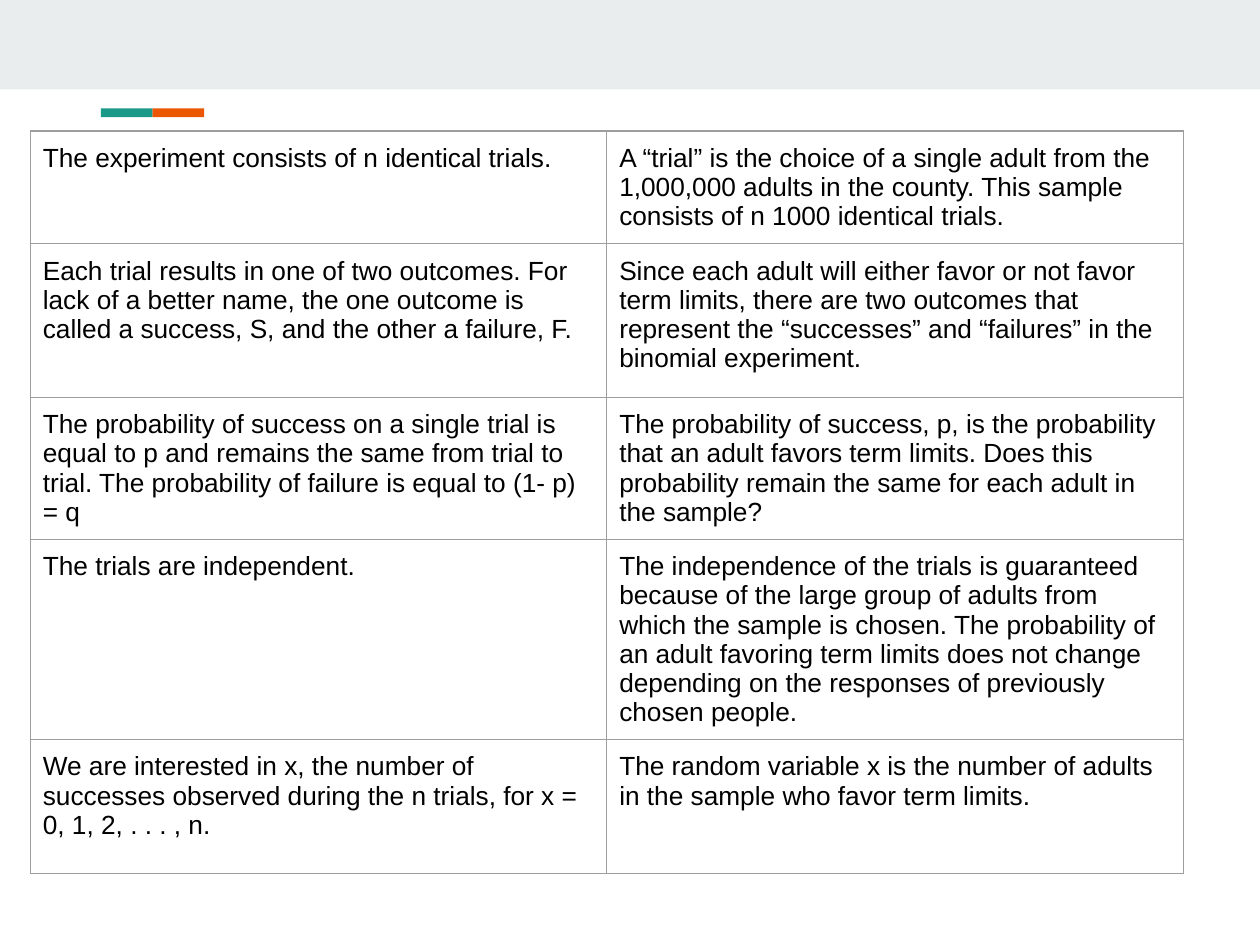
from typing import NamedTuple

from lxml import etree
from pptx import Presentation
from pptx.dml.color import RGBColor
from pptx.enum import shapes
from pptx.oxml import ns
from pptx.util import Inches, Pt

BAND_GRAY = RGBColor(0xE9, 0xED, 0xEE)
ORANGE = RGBColor(0xEB, 0x56, 0x00)
TEAL = RGBColor(0x1A, 0x99, 0x88)
BLACK = RGBColor(0, 0, 0)
BORDER_GRAY = RGBColor(0x9E, 0x9E, 0x9E)

CELL_MARGIN = Inches(0.1)
CELL_FORMAT = {
    "margin_left": CELL_MARGIN,
    "margin_right": CELL_MARGIN,
    "margin_top": CELL_MARGIN,
    "margin_bottom": CELL_MARGIN,
}
FONT_FORMAT = {"name": "Arial", "size": Pt(15)}

ACCENT_FRAME = {
    "left": Inches(0.8),
    "top": Inches(0.86),
    "width": Inches(0.82),
    "height": Inches(0.07),
}
ACCENT_LENGTH = 0.61
ACCENT_THICKNESS = 0.03


class Bar(NamedTuple):
    left: float
    top: float
    width: float
    height: float
    color: RGBColor
    rotation: float = 0


class Row(NamedTuple):
    height: float
    characteristic: str
    example: str


HEADER_BAND = Bar(0, 0, 10, 0.71, BAND_GRAY)

ROWS = [
    Row(0.8, "The experiment consists of n identical trials.",
        "A “trial” is the choice of a single adult from the 1,000,000 adults in the county. "
        "This sample consists of n 1000 identical trials."),
    Row(1.22, "Each trial results in one of two outcomes. For lack of a better name, "
        "the one outcome is called a success, S, and the other a failure, F.",
        "Since each adult will either favor or not favor term limits, there are two outcomes "
        "that represent the “successes” and “failures” in the binomial experiment."),
    Row(0.91, "The probability of success on a single trial is equal to p and remains the same "
        "from trial to trial. The probability of failure is equal to (1- p) = q",
        "The probability of success, p, is the probability that an adult favors term limits. "
        "Does this probability remain the same for each adult in the sample?"),
    Row(1.22, "The trials are independent.",
        "The independence of the trials is guaranteed because of the large group of adults "
        "from which the sample is chosen. The probability of an adult favoring term limits "
        "does not change depending on the responses of previously chosen people."),
    Row(1.06, "We are interested in x, the number of successes observed during the n trials, "
        "for x = 0, 1, 2, . . . , n.",
        "The random variable x is the number of adults in the sample who favor term limits."),
]


def set_attributes(target, values: dict) -> None:
    for name, value in values.items():
        setattr(target, name, value)


def draw_bar(container, bar: Bar) -> None:
    shape = container.shapes.add_shape(
        shapes.MSO_SHAPE.RECTANGLE, *(Inches(length) for length in bar[:4]))
    shape.rotation = bar.rotation
    shape.shadow.inherit = False
    shape.fill.solid()
    shape.fill.fore_color.rgb = bar.color
    shape.line.fill.background()


def draw_accent(slide) -> None:
    group = slide.shapes.add_group_shape()
    origin = 1
    inset = (ACCENT_LENGTH - ACCENT_THICKNESS) / 2
    for position, color in ((1, ORANGE), (0, TEAL)):
        left = origin + position * ACCENT_LENGTH + inset
        draw_bar(group, Bar(left, origin - inset, ACCENT_THICKNESS, ACCENT_LENGTH, color, 270))
    set_attributes(group, ACCENT_FRAME)
    frame = group._element.grpSpPr.find(ns.qn("a:xfrm"))
    child_offset = frame.find(ns.qn("a:chOff"))
    child_extent = frame.find(ns.qn("a:chExt"))
    for element, values in (
        (child_offset, {"x": origin, "y": origin}),
        (child_extent, {"cx": 2 * ACCENT_LENGTH, "cy": ACCENT_THICKNESS}),
    ):
        for name, length in values.items():
            element.set(name, str(int(Inches(length))))


def add_borders(cell) -> None:
    properties = cell._tc.get_or_add_tcPr()
    for position, side in enumerate(("lnL", "lnR", "lnT", "lnB")):
        line = etree.Element(ns.qn(f"a:{side}"), w=str(Pt(0.75)))
        fill = etree.SubElement(line, ns.qn("a:solidFill"))
        etree.SubElement(fill, ns.qn("a:srgbClr"), val=str(BORDER_GRAY))
        properties.insert(position, line)


def fill_cell(cell, content: str) -> None:
    cell.text = content
    cell.fill.background()
    set_attributes(cell, CELL_FORMAT)
    font = cell.text_frame.paragraphs[0].runs[0].font
    set_attributes(font, FONT_FORMAT)
    font.color.rgb = BLACK
    add_borders(cell)


def draw_table(slide, rows: list[Row]) -> None:
    height = sum(row.height for row in rows)
    table = slide.shapes.add_table(
        len(rows), 2, Inches(0.24), Inches(1.04), Inches(9.15), Inches(height)).table
    set_attributes(table, {"first_row": False, "horz_banding": False})
    for index, row in enumerate(rows):
        table.rows[index].height = Inches(row.height)
        for column, content in enumerate((row.characteristic, row.example)):
            fill_cell(table.cell(index, column), content)


def main() -> None:
    presentation = Presentation()
    set_attributes(presentation, {"slide_width": Inches(10), "slide_height": Inches(7.5)})
    slide = presentation.slides.add_slide(presentation.slide_layouts[6])
    draw_bar(slide, HEADER_BAND)
    draw_accent(slide)
    draw_table(slide, ROWS)
    presentation.save("out.pptx")


if __name__ == "__main__":
    main()
